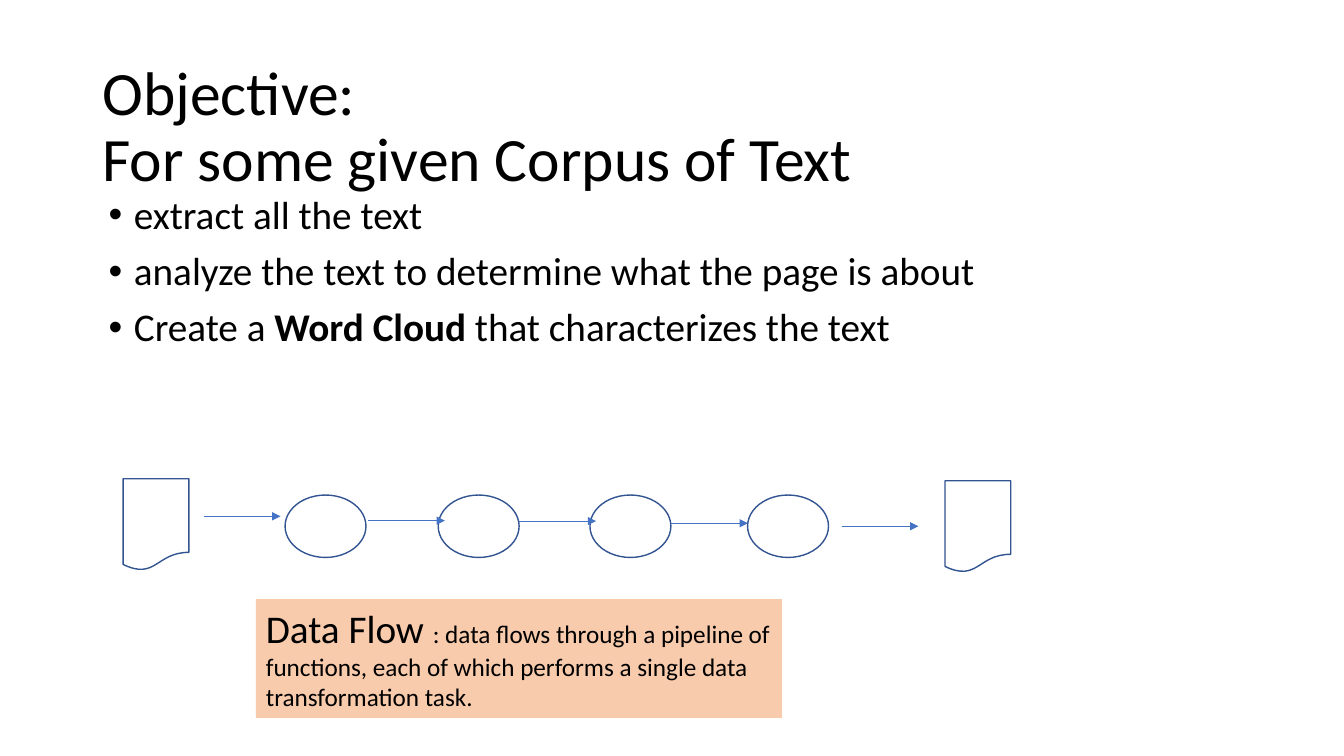
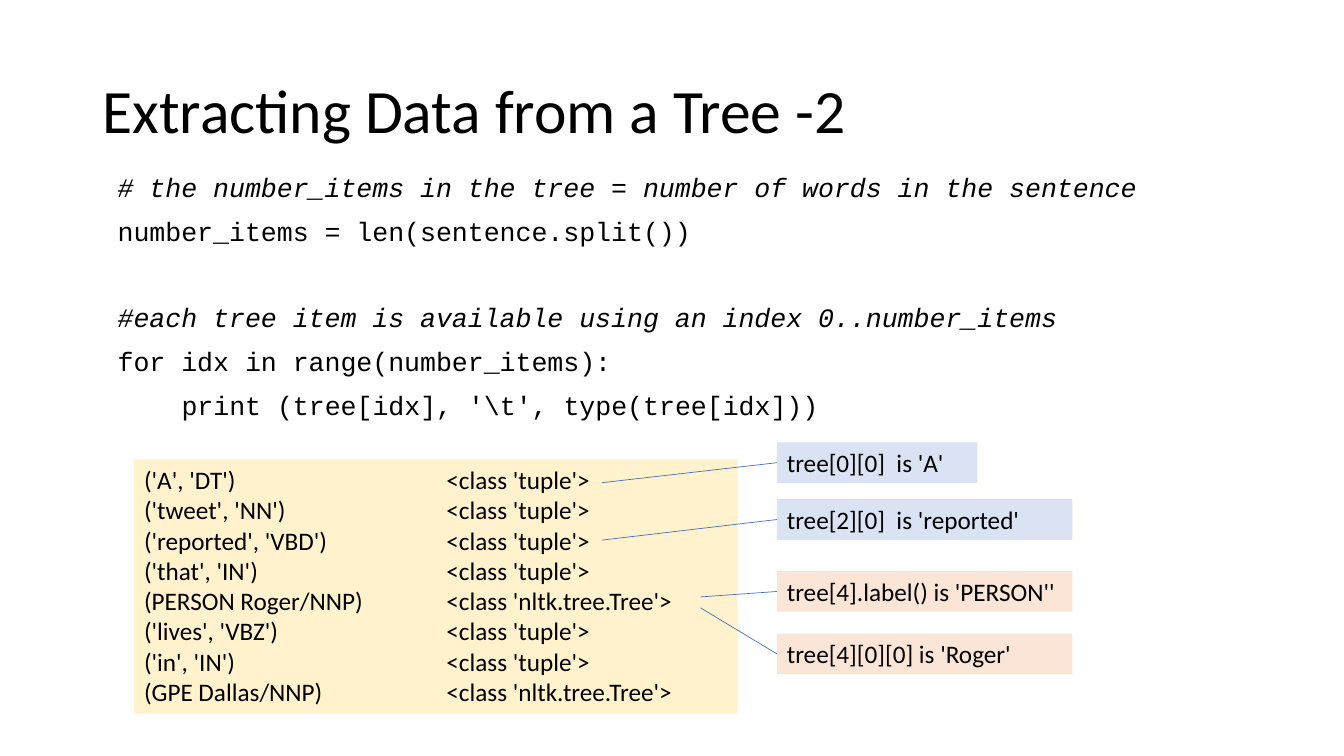
from dataclasses import dataclass

import lxml.etree
import pptx
import pptx.dml.color
import pptx.enum.shapes
import pptx.enum.text
import pptx.oxml.ns
import pptx.presentation
import pptx.shapes.autoshape
import pptx.shapes.connector
import pptx.slide
import pptx.util

Pt = pptx.util.Pt
RGBColor = pptx.dml.color.RGBColor
Shape = pptx.enum.shapes.MSO_SHAPE
Anchor = pptx.enum.text.MSO_ANCHOR
qn = pptx.oxml.ns.qn

BLACK = RGBColor(0x00, 0x00, 0x00)
OUTLINE = RGBColor(0x32, 0x54, 0x91)
LINK = RGBColor(0x44, 0x72, 0xC4)
ORANGE = RGBColor(0xF8, 0xCB, 0xAD)
PALE_ORANGE = RGBColor(0xFB, 0xE5, 0xD6)
PALE_BLUE = RGBColor(0xDA, 0xE3, 0xF3)
YELLOW = RGBColor(0xFF, 0xF2, 0xCC)

BODY_FONT = "Calibri"
CODE_FONT = "Courier New"
CODE_SIZE = 19
CODE_GAP = 11
TYPE_COLUMN = 216


@dataclass(frozen=True)
class Box:
    left: float
    top: float
    width: float
    height: float


@dataclass(frozen=True)
class Run:
    text: str
    size: float = 18
    font: str = BODY_FONT
    bold: bool = False
    italic: bool = False


@dataclass(frozen=True)
class Para:
    runs: tuple[Run, ...]
    spacing: float = 1.0
    before: float = 0
    indent: float = 0
    bullet: bool = False
    tab: float = 0


@dataclass(frozen=True)
class Arrow:
    left: float
    y: float


@dataclass(frozen=True)
class Callout:
    text: str
    top: float
    width: float
    fill: RGBColor
    source_x: float
    source_y: float


def add_para(p, para: Para) -> None:
    p.line_spacing = para.spacing
    p.space_before = Pt(para.before)
    pPr = p._p.get_or_add_pPr()
    if para.indent:
        pPr.set("marL", str(int(Pt(para.indent))))
    if para.bullet:
        pPr.set("indent", str(-int(Pt(para.indent))))
        lxml.etree.SubElement(pPr, qn("a:buFont"), typeface="Arial")
        lxml.etree.SubElement(pPr, qn("a:buChar"), char="•")
    if para.tab:
        tabs = lxml.etree.SubElement(pPr, qn("a:tabLst"))
        lxml.etree.SubElement(tabs, qn("a:tab"), pos=str(int(Pt(para.tab))), algn="l")
    for run in para.runs:
        for i, line in enumerate(run.text.split("\n")):
            if i:
                p.add_line_break()
            r = p.add_run()
            r.text = line
            r.font.size = Pt(run.size)
            r.font.name = run.font
            r.font.bold = run.bold
            r.font.italic = run.italic
            r.font.color.rgb = BLACK


def add_text(
    s: pptx.slide.Slide,
    box: Box,
    paras: list[Para],
    fill: RGBColor | None = None,
    anchor: Anchor = Anchor.TOP,
) -> pptx.shapes.autoshape.Shape:
    sp = s.shapes.add_textbox(Pt(box.left), Pt(box.top), Pt(box.width), Pt(box.height))
    if fill is not None:
        sp.fill.solid()
        sp.fill.fore_color.rgb = fill
    tf = sp.text_frame
    tf.word_wrap = True
    tf.vertical_anchor = anchor
    for i, para in enumerate(paras):
        add_para(tf.add_paragraph() if i else tf.paragraphs[0], para)
    return sp


def add_title(s: pptx.slide.Slide, text: str, top: float) -> None:
    title = Para((Run(text, 44),), spacing=0.9)
    add_text(s, Box(66, top, 828, 104.4), [title], anchor=Anchor.MIDDLE)


def add_outline(s: pptx.slide.Slide, kind: Shape, box: Box) -> None:
    sp = s.shapes.add_shape(kind, Pt(box.left), Pt(box.top), Pt(box.width), Pt(box.height))
    sp.shadow.inherit = False
    sp.fill.background()
    sp.line.color.rgb = OUTLINE
    sp.line.width = Pt(1)


def add_line(
    s: pptx.slide.Slide, x1: float, y1: float, x2: float, y2: float, arrow: bool = False
) -> pptx.shapes.connector.Connector:
    line = s.shapes.add_connector(
        pptx.enum.shapes.MSO_CONNECTOR.STRAIGHT, Pt(x1), Pt(y1), Pt(x2), Pt(y2)
    )
    line.line.color.rgb = LINK
    line.line.width = Pt(0.5)
    spPr = line._element.spPr
    if arrow:
        lxml.etree.SubElement(spPr.find(qn("a:ln")), qn("a:tailEnd"), type="triangle")
    lxml.etree.SubElement(spPr, qn("a:effectLst"))
    return line


def add_objective(prs: pptx.presentation.Presentation) -> None:
    s = prs.slides.add_slide(prs.slide_layouts[6])
    add_title(s, "Objective:\nFor some given Corpus of Text", 39.6)
    goals = [
        (Run("extract all the text", 28),),
        (Run("analyze the text to determine what the page is about", 28),),
        (
            Run("Create a ", 28),
            Run("Word Cloud ", 28, bold=True),
            Run("that characterizes the text", 28),
        ),
    ]
    add_text(
        s,
        Box(70.6, 136, 828, 172.8),
        [Para(runs, 0.9, 10, indent=18, bullet=True) for runs in goals],
    )

    for left, top in ((88, 342), (675, 343.4)):
        add_outline(s, Shape.FLOWCHART_DOCUMENT, Box(left, top, 47, 65.5))
    for left in (203.6, 313, 421.4, 534):
        add_outline(s, Shape.FLOWCHART_CONNECTOR, Box(left, 353.6, 57.8, 44.6))
    arrows = (
        Arrow(145.6, 368.8),
        Arrow(263, 371.9),
        Arrow(371, 372.2),
        Arrow(479.4, 373.8),
        Arrow(601.2, 375.9),
    )
    for arrow in arrows:
        add_line(s, arrow.left, arrow.y, arrow.left + 54.8, arrow.y, arrow=True)

    definition = (
        Run("Data Flow ", 28),
        Run(
            ": data flows through a pipeline of functions, each of which "
            "performs a single data transformation task."
        ),
    )
    add_text(s, Box(182.8, 428, 375.8, 84.8), [Para(definition)], ORANGE)


def code_line(text: str, before: float = CODE_GAP, level: int = 0) -> Para:
    run = Run(text, CODE_SIZE, CODE_FONT, italic=text.startswith("#"))
    return Para((run,), 0.9, before, indent=level * 4 * 0.6 * CODE_SIZE)


def add_tree(prs: pptx.presentation.Presentation) -> None:
    s = prs.slides.add_slide(prs.slide_layouts[6])
    add_title(s, "Extracting Data from a Tree -2", 28.8)
    code = [
        code_line("# the number_items in the tree = number of words in the sentence"),
        code_line("number_items = len(sentence.split())"),
        code_line(
            "#each tree item is available using an index 0..number_items",
            before=2 * CODE_GAP + CODE_SIZE,
        ),
        code_line("for idx in range(number_items):"),
        code_line("print (tree[idx], '\\t', type(tree[idx]))", level=1),
    ]
    add_text(s, Box(77, 121, 828, 195), code)

    items = (
        ("('A', 'DT')", "tuple"),
        ("('tweet', 'NN')", "tuple"),
        ("('reported', 'VBD')", "tuple"),
        ("('that', 'IN')", "tuple"),
        ("(PERSON Roger/NNP)", "nltk.tree.Tree"),
        ("('lives', 'VBZ')", "tuple"),
        ("('in', 'IN')", "tuple"),
        ("(GPE Dallas/NNP)", "nltk.tree.Tree"),
    )
    output = [
        Para((Run(f"{item}\t<class '{kind}'>"),), tab=TYPE_COLUMN) for item, kind in items
    ]
    add_text(s, Box(95.8, 328.2, 431.2, 181.6), output, YELLOW)

    callouts = (
        Callout("tree[0][0]  is 'A'", 316, 143.2, PALE_BLUE, 430, 344.8),
        Callout("tree[2][0]  is 'reported'", 356.6, 211, PALE_BLUE, 430, 385.8),
        Callout("tree[4].label() is 'PERSON''", 408, 211, PALE_ORANGE, 500.4, 426.4),
        Callout("tree[4][0][0] is 'Roger'", 452.6, 211, PALE_ORANGE, 500.4, 434.2),
    )
    for callout in callouts:
        box = Box(555, callout.top, callout.width, 29)
        sp = add_text(s, box, [Para((Run(callout.text),))], callout.fill)
        line = add_line(
            s, callout.source_x, callout.source_y, box.left, box.top + box.height / 2
        )
        line.end_connect(sp, 1)


def main() -> None:
    prs = pptx.Presentation()
    prs.slide_width = Pt(960)
    prs.slide_height = Pt(540)
    add_objective(prs)
    add_tree(prs)
    prs.save("out.pptx")


if __name__ == "__main__":
    main()
